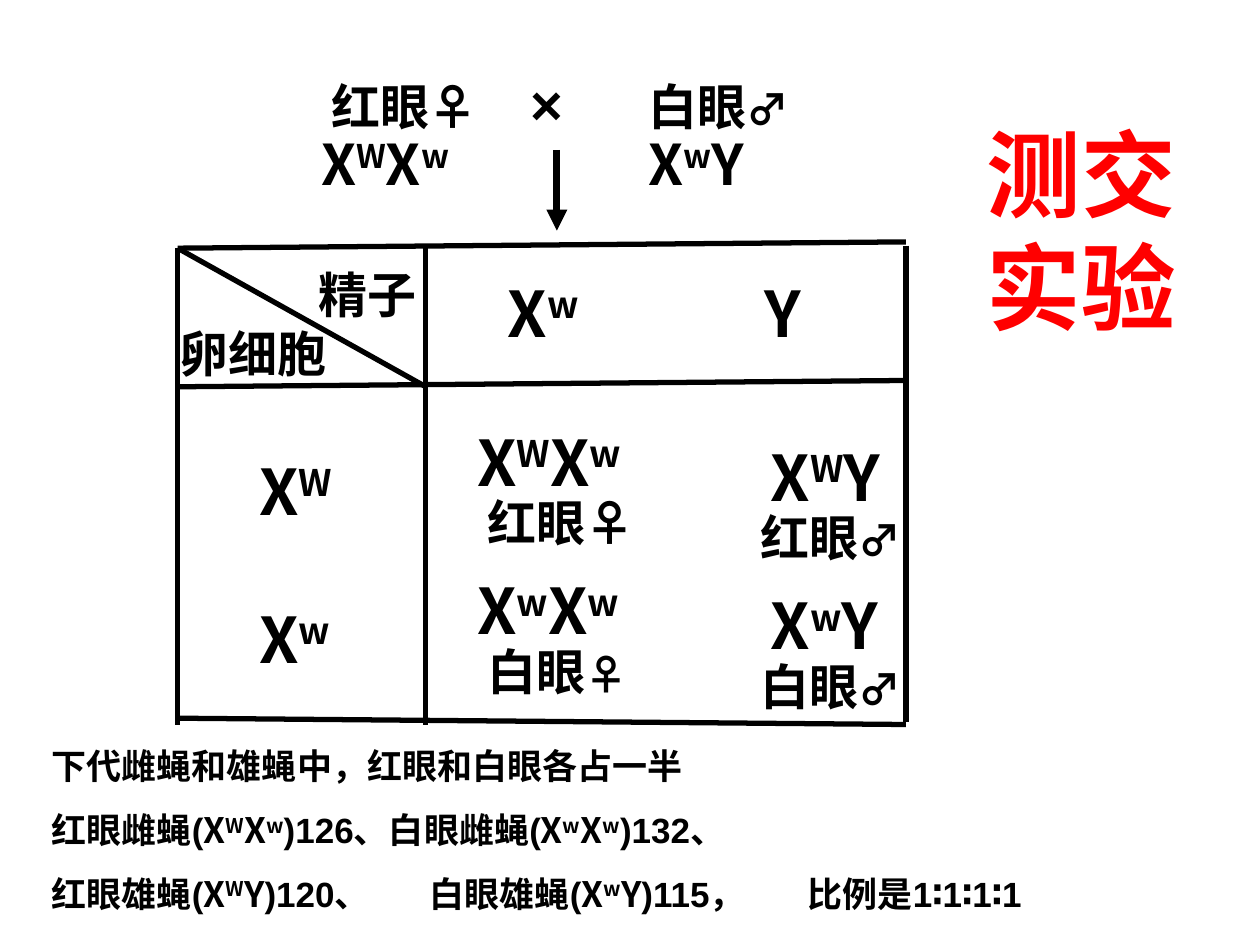
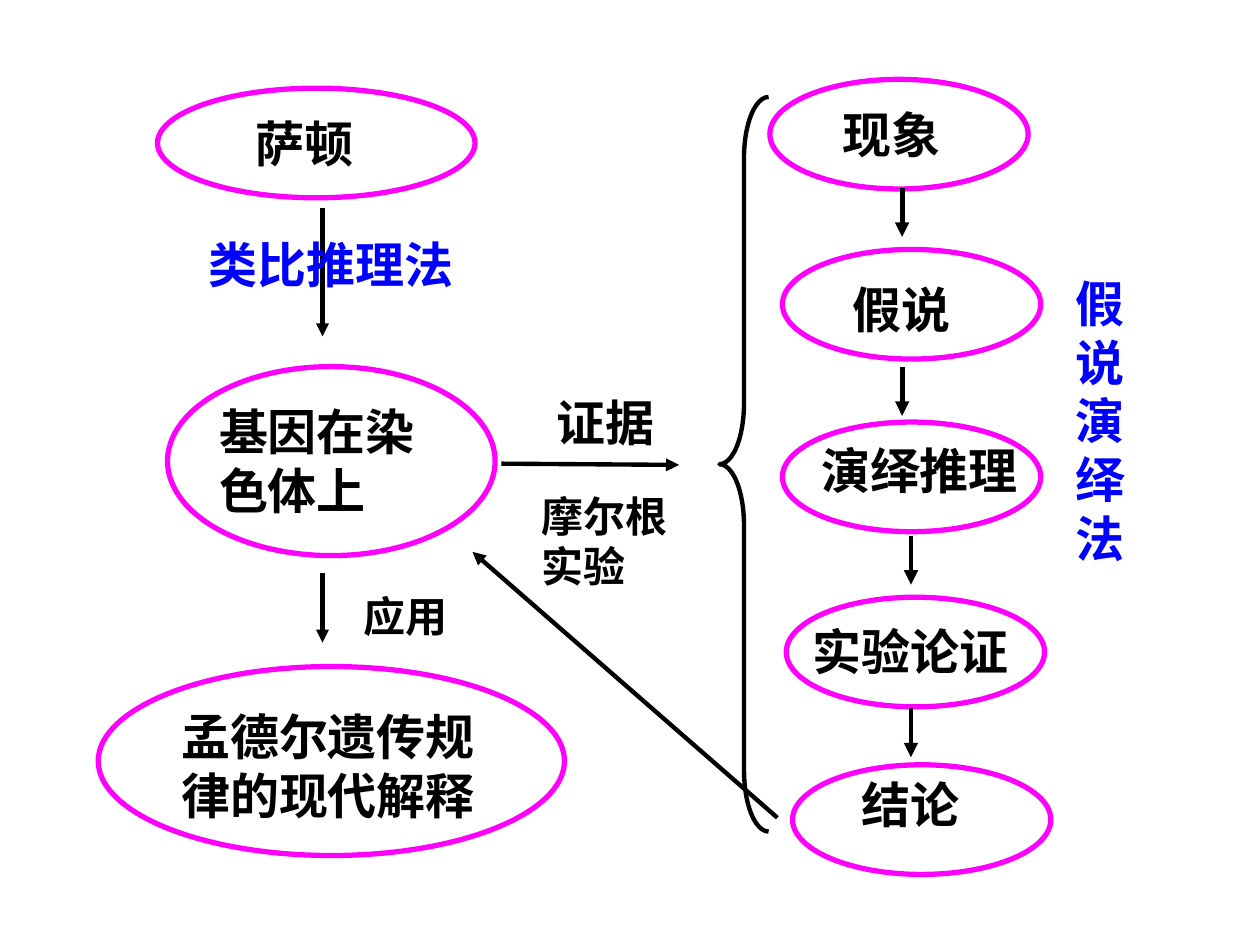
from dataclasses import dataclass

from lxml.etree import SubElement
from pptx import Presentation
from pptx.dml.color import RGBColor
from pptx.enum.shapes import MSO_CONNECTOR as Line, MSO_SHAPE as Shape
from pptx.enum.text import MSO_ANCHOR as Anchor, MSO_AUTO_SIZE as Fit, PP_ALIGN as Align
from pptx.oxml.ns import qn
from pptx.util import Inches, Pt

COLS, ROWS = 100, 75


@dataclass(frozen=True)
class Theme:
    """Colours, fonts, type sizes and line widths of the deck."""
    ink: str = "000000"
    title: str = "FF0000"
    method: str = "0000FF"
    ring: str = "FF00FF"
    font: str = "Arial"
    gene_font: str = "Noto Sans CJK SC"
    title_size: float = 54
    allele: float = 36
    parent: float = 32
    label: float = 28
    small: float = 24
    body: float = 20
    rule: float = 3
    arrow: float = 2.5
    step: float = 2.75
    cross: float = 4


class Deck:
    """Draws styled elements on the current slide, on a grid of COLS by ROWS."""

    def __init__(self, theme):
        self.theme = theme
        self.prs = Presentation()
        self.prs.slide_width, self.prs.slide_height = Inches(10), Inches(7.5)
        self.slide = None

    def new_slide(self, layout):
        self.slide = self.prs.slides.add_slide(self.prs.slide_layouts[layout])

    def place(self, *cells):
        units = self.prs.slide_width / COLS, self.prs.slide_height / ROWS
        return [round(c * units[i % 2]) for i, c in enumerate(cells)]

    def run(self, p, text, size, color=None, font=None, raised=False):
        r = p.add_run()
        r.text = text
        r.font.size, r.font.bold = Pt(size), True
        r.font.name = font or self.theme.font
        r.font.color.rgb = RGBColor.from_string(color or self.theme.ink)
        if raised:
            r._r.get_or_add_rPr().set("baseline", "30000")

    def genes(self, p, letters, size):
        for letter in letters:
            self.run(p, letter, size, font=self.theme.gene_font, raised=letter in "Ww")

    def frame(self, sp, anchor=Anchor.TOP):
        tf = sp.text_frame
        tf.word_wrap, tf.auto_size, tf.vertical_anchor = True, Fit.NONE, anchor
        return tf.paragraphs[0]

    def box(self, *at):
        return self.frame(self.slide.shapes.add_textbox(*self.place(*at)))

    def text(self, at, text, size=None, color=None):
        self.run(self.box(*at), text, size or self.theme.label, color)

    def genotype(self, at, letters, size=None):
        self.genes(self.box(*at), letters, size or self.theme.allele)

    def phenotype(self, at, eyes, sign, sign_size):
        p = self.box(*at)
        self.run(p, eyes, self.theme.label)
        self.run(p, sign, sign_size)

    def move(self, sp, at):
        sp.left, sp.top, sp.width, sp.height = self.place(*at)

    def title(self, at, text):
        sp = self.slide.shapes.title
        self.move(sp, at)
        p = self.frame(sp, Anchor.MIDDLE)
        p.alignment = Align.LEFT
        self.run(p, text, self.theme.title_size, self.theme.title)

    def body(self, at, lines, tabs):
        """Fills the body placeholder; text between bars is a genotype."""
        sp = self.slide.placeholders[1]
        self.move(sp, at)
        first = self.frame(sp)
        for i, line in enumerate(lines):
            p = sp.text_frame.add_paragraph() if i else first
            p.space_before = Pt(12.5 if i else 0)
            pPr = p._p.get_or_add_pPr()
            pPr.set("marL", "0")
            pPr.set("indent", "0")
            SubElement(pPr, qn("a:buNone"))
            stops = SubElement(pPr, qn("a:tabLst"))
            for tab in tabs:
                SubElement(stops, qn("a:tab"), pos=str(self.place(tab)[0]), algn="l")
            for j, part in enumerate(line.split("|")):
                write = self.genes if j % 2 else self.run
                write(p, part, self.theme.body)

    def line(self, ends, width, arrow=False):
        c = self.slide.shapes.add_connector(Line.STRAIGHT, *self.place(*ends))
        c.line.color.rgb = RGBColor.from_string(self.theme.ink)
        c.line.width = Pt(width)
        if arrow:
            SubElement(c.line._get_or_add_ln(), qn("a:tailEnd"), type="triangle")
        SubElement(c._element.spPr, qn("a:effectLst"))

    def outline(self, kind, at, color, width):
        sp = self.slide.shapes.add_shape(kind, *self.place(*at))
        sp.shadow.inherit = False
        sp.fill.background()
        sp.line.color.rgb = RGBColor.from_string(color)
        sp.line.width = Pt(width)
        return sp

    def oval(self, at):
        self.outline(Shape.OVAL, at, self.theme.ring, self.theme.rule)

    def brace(self, at, curl):
        sp = self.outline(Shape.LEFT_BRACE, at, self.theme.ink, self.theme.arrow)
        sp.adjustments[0] = curl


def test_cross(deck):
    """Punnett square of the test cross."""
    t = deck.theme
    deck.new_slide(1)
    deck.title((77.3, 8.7, 19.5, 19), "测交实验")

    left, middle, right, top, bottom = 14.1, 33.8, 71.9, 19.7, 57.5
    for ends in ((left, top, middle, 30.7), (left, 30.7, right, 30.2),
                 (middle, top, middle, bottom), (left, 57, right, bottom),
                 (left, top, left, bottom), (left, top, right, 19.2),
                 (right, 19.5, right, 57.3)):
        deck.line(ends, t.rule)

    deck.phenotype((25.3, 5.6, 21.3, 5.7), "红眼", "♀", t.label)
    deck.phenotype((50.5, 5.6, 21.3, 5.7), "白眼", "♂", t.small)
    deck.genotype((24.5, 9.8, 20.5, 6.4), "XWXw", t.parent)
    deck.genotype((50.5, 9.8, 20.5, 6.4), "XwY", t.parent)
    deck.text((41.1, 5, 7.1, 6.4), "×", t.parent)
    deck.line((44.2, 11.9, 44.2, 18.3), t.cross, arrow=True)

    deck.text((24.3, 20.5, 12.6, 5.7), "精子")
    deck.text((13.3, 25.2, 18.9, 5.7), "卵细胞")
    for x, sperm in ((39.3, "Xw"), (59.7, "Y")):
        deck.genotype((x, 21.3, 13.4, 7), sperm)

    row_gap = 11.8
    for row, (egg, eyes, female_size) in enumerate((("XW", "红眼", t.label),
                                                    ("Xw", "白眼", t.small))):
        y = 33.1 + row * row_gap
        deck.genotype((19.6, y + 2.3, 15.7, 7), egg)
        deck.genotype((36.9, y, 18.1, 7), egg + "Xw")
        deck.phenotype((37.7, y + 5.5, 29.9, 5.7), eyes, "♀", female_size)
        deck.genotype((60.2, y + 1.2, 18.9, 7), egg + "Y")
        deck.phenotype((59.4, y + 6.7, 29.9, 5.7), eyes, "♂", t.small)

    deck.body((3.1, 58.6, 94.1, 14.5), (
        "下代雌蝇和雄蝇中，红眼和白眼各占一半",
        "红眼雌蝇(|XWXw|)126、白眼雌蝇(|XwXw|)132、",
        "红眼雄蝇(|XWY|)120、\t白眼雄蝇(|XwY|)115，\t比例是1∶1∶1∶1"), tabs=(28, 57.5))


def reasoning_map(deck):
    """Two lines of reasoning that place genes on chromosomes."""
    t = deck.theme
    deck.new_slide(6)

    for oval, at, words in (
            ((12.5, 7, 25.2, 8.7), (19.3, 8.5, 19.7, 5.7), "萨顿"),
            ((13.3, 29.1, 26, 15), (16.4, 31.4, 18.9, 10.4), "基因在染色体上"),
            ((7.8, 52.9, 37, 15), (13.4, 55.6, 26, 10.4), "孟德尔遗传规律的现代解释")):
        deck.oval(oval)
        deck.text(at, words)

    for x, y, text_x, text_y, words in (
            (61.1, 6.3, 65.9, 7.8, "现象"), (62.1, 19.8, 66.7, 21.7, "假说"),
            (62.1, 33.5, 64.2, 34.5, "演绎推理"), (62.4, 47.4, 63.5, 48.8, "实验论证"),
            (62.9, 60.7, 67.4, 61, "结论")):
        deck.oval((x, y, 20.5, 8.7))
        deck.text((text_x, text_y, 18.1, 5.7), words)

    for x, y in ((71.6, 14.9), (71.6, 29.1), (72.3, 42.5), (72.3, 56.2)):
        deck.line((x, y, x, y + 3.9), t.step, arrow=True)
    for ends in ((25.6, 16.5, 25.6, 26.7), (39.8, 36.8, 53.9, 36.9),
                 (25.6, 45.5, 25.6, 51), (61.7, 64.9, 37.5, 43.8)):
        deck.line(ends, t.arrow, arrow=True)
    deck.brace((57.1, 7.7, 3.9, 58.3), 1.24)

    deck.text((43.2, 30.7, 11, 5.7), "证据")
    deck.text((42, 38.4, 14.2, 9), "摩尔根实验", t.small)
    deck.text((27.9, 46.4, 9.4, 5), "应用", t.small)
    deck.text((15.6, 18.1, 23.3, 5.7), "类比推理法", color=t.method)
    deck.text((84.4, 21.2, 7, 24.4), "假说演绎法", color=t.method)


def main():
    deck = Deck(Theme())
    test_cross(deck)
    reasoning_map(deck)
    deck.prs.save("out.pptx")


if __name__ == "__main__":
    main()
